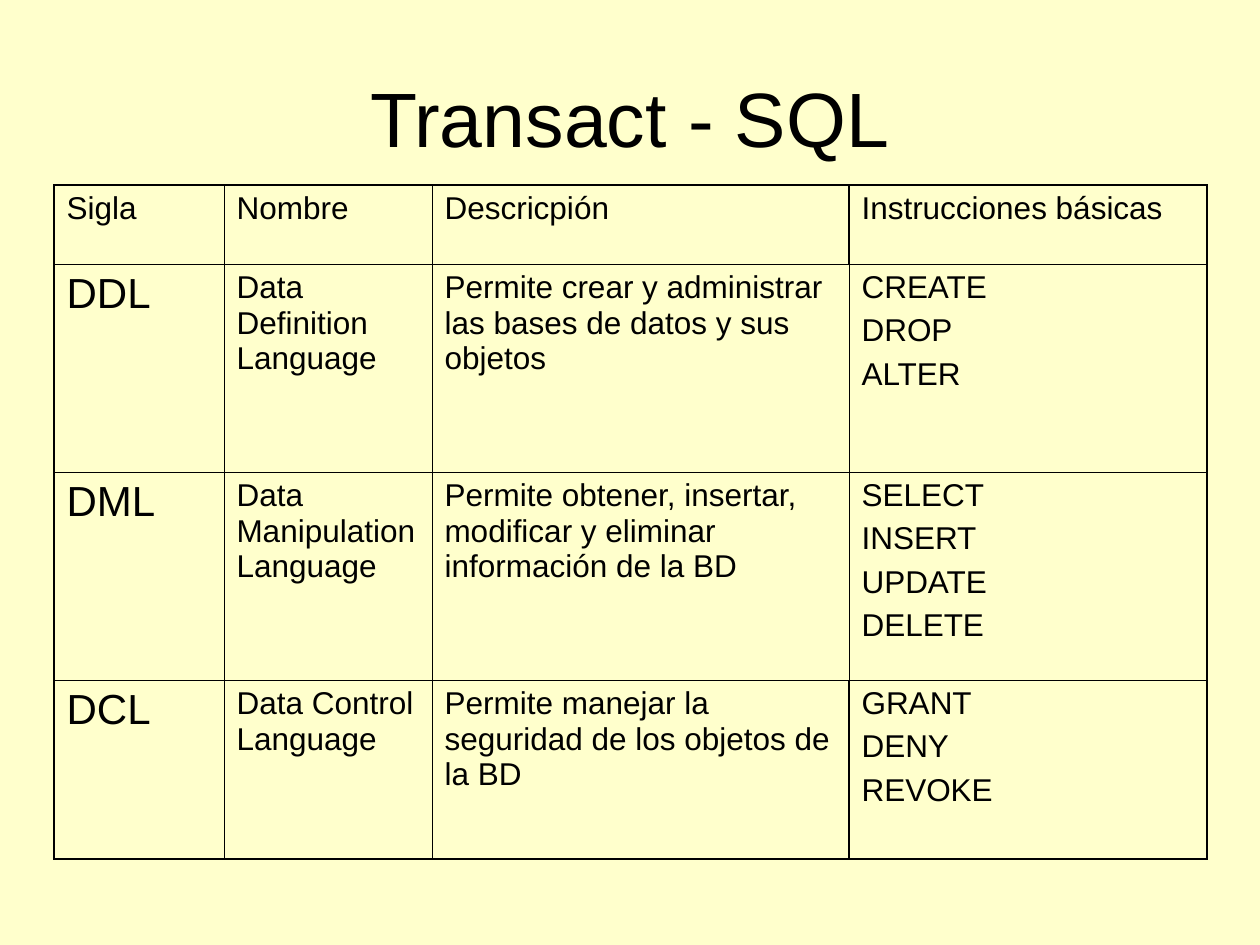
from dataclasses import dataclass

from lxml.etree import SubElement as Sub
from pptx import Presentation
from pptx.dml.color import RGBColor
from pptx.enum.text import MSO_ANCHOR as Anchor, PP_ALIGN as Align
from pptx.oxml.ns import qn
from pptx.util import Emu, Pt

SCALE = 914400 / 126
INK = "000000"
PAPER = "FFFFCC"
THIN, THICK = 0.45, 1.08
COLS = [170, 208, 417, 358]
ROWS = [79, 208, 208, 179]


@dataclass
class Entry:
    sigla: str
    name: str
    use: str
    verbs: str  # one paragraph per line

    def texts(self) -> list[str]:
        return [self.sigla, self.name, self.use, self.verbs]


ENTRIES = [
    Entry("Sigla", "Nombre", "Descricpión", "Instrucciones básicas"),
    Entry("DDL", "Data Definition Language",
          "Permite crear y administrar las bases de datos y sus objetos",
          "CREATE\nDROP\nALTER"),
    Entry("DML", "Data Manipulation Language",
          "Permite obtener, insertar, modificar y eliminar información de la BD",
          "SELECT\nINSERT\nUPDATE\nDELETE"),
    Entry("DCL", "Data Control Language",
          "Permite manejar la seguridad de los objetos de la BD",
          "GRANT\nDENY\nREVOKE"),
]


def px(n: int) -> Emu:
    return Emu(round(n * SCALE))


def color(code: str) -> RGBColor:
    return RGBColor.from_string(code)


def write(frame, text: str, size: int, **form) -> None:
    frame.text = text
    for para in frame.paragraphs:
        for key, value in form.items():
            setattr(para, key, value)
        for run in para.runs:
            for key, value in {"name": "Arial", "size": Pt(size), "bold": False}.items():
                setattr(run.font, key, value)
            run.font.color.rgb = color(INK)


def border(cell, widths: dict[str, float]) -> None:
    props = cell._tc.get_or_add_tcPr()
    for side, width in widths.items():
        line = Sub(props, qn(f"a:ln{side}"), w=str(Pt(width)))
        Sub(Sub(line, qn("a:solidFill")), qn("a:srgbClr"), val=INK)


def fill_cell(cell, text: str, row: int, col: int) -> None:
    last_row, last_col = len(ROWS) - 1, len(COLS) - 1
    ends = row in (0, last_row)
    # Outer edges are thick, and so is the last divider in the end rows
    thick = {
        "L": col == 0 or (ends and col == last_col),
        "R": col == last_col or (ends and col == last_col - 1),
        "T": row == 0,
        "B": row == last_row,
    }
    border(cell, {side: THICK if on else THIN for side, on in thick.items()})
    cell.fill.background()
    big = row > 0 and col == 0
    write(cell.text_frame, text, 24 if big else 18, space_before=Pt(6 if big else 4.5))


def add_title(slide, text: str) -> None:
    frame = slide.shapes.add_textbox(px(63), px(38), px(1134), px(158)).text_frame
    for key, value in {"word_wrap": True, "vertical_anchor": Anchor.MIDDLE}.items():
        setattr(frame, key, value)
    write(frame, text, 44, alignment=Align.CENTER)


def add_grid(slide) -> None:
    table = slide.shapes.add_table(len(ROWS), len(COLS), px(54), px(185),
                                   px(sum(COLS)), px(sum(ROWS))).table
    for key in ("first_row", "horz_banding"):
        setattr(table, key, False)
    for col, width in zip(table.columns, COLS):
        col.width = px(width)
    for row, height in zip(table.rows, ROWS):
        row.height = px(height)
    for r, entry in enumerate(ENTRIES):
        for c, text in enumerate(entry.texts()):
            fill_cell(table.cell(r, c), text, r, c)


def main() -> None:
    deck = Presentation()
    deck.slide_width, deck.slide_height = px(1260), px(945)
    slide = deck.slides.add_slide(deck.slide_layouts[6])

    # Background
    slide.background.fill.solid()
    slide.background.fill.fore_color.rgb = color(PAPER)

    # Title and table
    add_title(slide, "Transact - SQL")
    add_grid(slide)
    deck.save("out.pptx")


if __name__ == "__main__":
    main()
